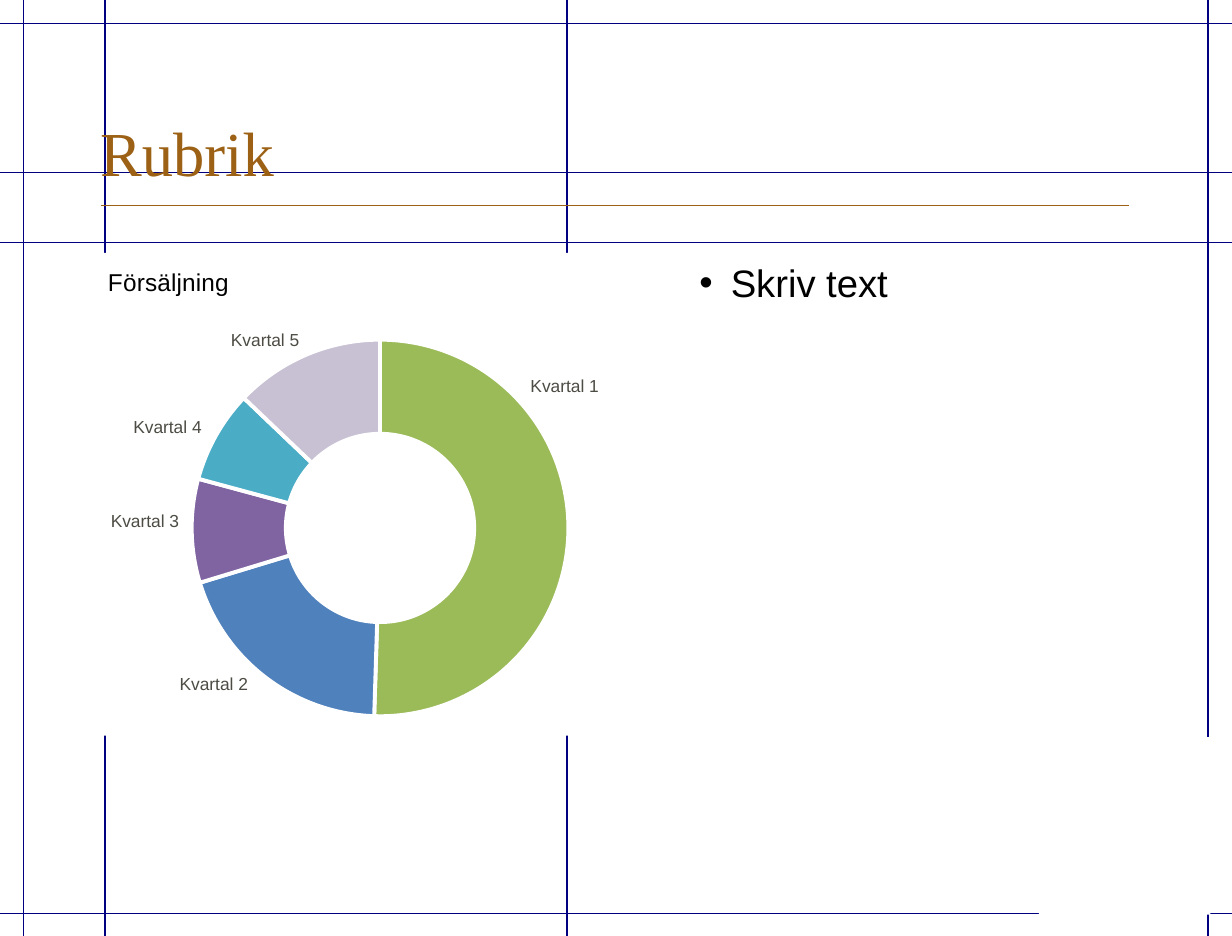
from dataclasses import dataclass

import pptx
import pptx.chart.data
import pptx.dml.color
import pptx.enum.chart
import pptx.enum.shapes
import pptx.enum.text
import pptx.oxml
import pptx.oxml.ns
import pptx.util
from pptx.util import Inches

# The page is 25 by 19 centimetres
PAGE_WIDTH, PAGE_HEIGHT = pptx.util.Cm(25), pptx.util.Cm(19)
WIDTH, HEIGHT = 9.84, 7.48
NAVY, BROWN, WHITE, BLACK, GREY = "000080", "9C6114", "FFFFFF", "000000", "4D4C44"
HORIZONTAL_GUIDES = (1.94, 0.19, 1.38, 7.3)
VERTICAL_GUIDES = (0.19, 9.65, 4.53, 0.84)
LEFT = pptx.enum.text.PP_ALIGN.LEFT
RIGHT = pptx.enum.text.PP_ALIGN.RIGHT


@dataclass(frozen=True)
class Quarter:
    number: int
    value: int
    color: str
    label_left: float
    label_top: float
    alignment: pptx.enum.text.PP_ALIGN = RIGHT


QUARTERS = (
    Quarter(1, 51, "9BBB59", 4.14, 2.95, LEFT),
    Quarter(2, 20, "4F81BD", 1.32, 5.33),
    Quarter(3, 9, "8064A2", 0.77, 4.03),
    Quarter(4, 8, "4BACC6", 0.95, 3.28),
    Quarter(5, 13, "C8C1D4", 1.73, 2.58),
)


def rgb(color: str) -> pptx.dml.color.RGBColor:
    return pptx.dml.color.RGBColor.from_string(color)


def set_font(font, size: float, color: str, name: str = "Arial") -> None:
    font.name = name
    font.size = pptx.util.Pt(size)
    font.bold = False
    font.color.rgb = rgb(color)


def xml(tag: str, content: str = "", attributes: str = ""):
    """Build an element from a prefixed tag, inner XML and attributes."""
    prefix = tag.split(":")[0]
    namespace = pptx.oxml.ns.nsdecls(prefix)
    return pptx.oxml.parse_xml(f"<{tag} {namespace} {attributes}>{content}</{tag}>")


def add_line(slide, x1: float, y1: float, x2: float, y2: float, color: str) -> None:
    line = slide.shapes.add_connector(
        pptx.enum.shapes.MSO_CONNECTOR.STRAIGHT,
        Inches(x1), Inches(y1), Inches(x2), Inches(y2),
    )
    line.line.color.rgb = rgb(color)
    line.line.width = pptx.util.Pt(0.75)
    line.element.spPr.append(xml("a:effectLst"))


def add_background(slide) -> None:
    for y in HORIZONTAL_GUIDES:
        add_line(slide, 0, y, WIDTH, y, NAVY)
    for x in VERTICAL_GUIDES:
        add_line(slide, x, 0, x, HEIGHT, NAVY)
    add_line(slide, 0.81, 1.64, 9.02, 1.64, BROWN)
    corner = slide.shapes.add_shape(
        pptx.enum.shapes.MSO_SHAPE.RECTANGLE,
        Inches(8.3), Inches(5.89), Inches(1.37), Inches(1.42),
    )
    corner.shadow.inherit = False
    corner.fill.solid()
    corner.fill.fore_color.rgb = rgb(WHITE)
    corner.line.fill.background()


def format_title(slide) -> None:
    title = slide.shapes.title
    title.left, title.top = Inches(0.7), Inches(0.31)
    title.width, title.height = Inches(8.32), Inches(1.25)
    frame = title.text_frame
    frame.text = "Rubrik"
    frame.auto_size = pptx.enum.text.MSO_AUTO_SIZE.NONE
    frame.vertical_anchor = pptx.enum.text.MSO_ANCHOR.BOTTOM
    frame.paragraphs[0].alignment = LEFT
    set_font(frame.paragraphs[0].runs[0].font, 36, BROWN, "Times New Roman")
    # Bring the title in front of the guides
    title.element.getparent().append(title.element)


def manual_layout(x: float, y: float, size: tuple[float, float] | None = None):
    content = '<c:xMode val="edge"/><c:yMode val="edge"/>'
    content += f'<c:x val="{x}"/><c:y val="{y}"/>'
    if size:
        content += f'<c:w val="{size[0]}"/><c:h val="{size[1]}"/>'
    return xml("c:layout", f"<c:manualLayout>{content}</c:manualLayout>")


def add_sales_chart(slide) -> None:
    data = pptx.chart.data.CategoryChartData()
    data.categories = [str(quarter.number) for quarter in QUARTERS]
    data.add_series("Series 1", [quarter.value for quarter in QUARTERS])
    chart = slide.shapes.add_chart(
        pptx.enum.chart.XL_CHART_TYPE.DOUGHNUT,
        Inches(0.68), Inches(2.02), Inches(4.91), Inches(3.86), data,
    ).chart
    set_font(chart.font, 10, BLACK)
    chart.has_legend = False
    chart.has_title = True
    title_frame = chart.chart_title.text_frame
    title_frame.text = "Försäljning"
    set_font(title_frame.paragraphs[0].runs[0].font, 14, BLACK)

    plot = chart.plots[0]
    plot.vary_by_categories = True
    plot.has_data_labels = False
    for point_index, quarter in enumerate(QUARTERS):
        slice_format = plot.series[0].points[point_index].format
        slice_format.fill.solid()
        slice_format.fill.fore_color.rgb = rgb(quarter.color)
        slice_format.line.color.rgb = rgb(WHITE)
        slice_format.line.width = pptx.util.Pt(2.25)

    qn = pptx.oxml.ns.qn
    chart_space = chart.element
    title = chart_space.find(".//" + qn("c:title"))
    plot_area = chart_space.find(".//" + qn("c:plotArea"))
    for parent in (title, plot_area):
        for layout in parent.findall(qn("c:layout")):
            parent.remove(layout)
    title.find(qn("c:tx")).addnext(manual_layout(0.03, 0.02))
    plot_area.insert(0, manual_layout(0.17, 0.18, (0.62, 0.78)))
    white_fill = f'<a:solidFill><a:srgbClr val="{WHITE}"/></a:solidFill>'
    background = pptx.oxml.parse_xml(
        f'<c:spPr {pptx.oxml.ns.nsdecls("c", "a")}>{white_fill}'
        "<a:ln><a:noFill/></a:ln></c:spPr>"
    )
    chart_space.find(qn("c:chart")).addnext(background)


def add_body(slide) -> None:
    frame = slide.shapes.add_textbox(
        Inches(5.49), Inches(2.02), Inches(3.53), Inches(3.84)
    ).text_frame
    frame.word_wrap = True
    paragraph = frame.paragraphs[0]
    paragraph.text = "Skriv text"
    properties = paragraph._p.get_or_add_pPr()
    properties.set("marL", str(Inches(0.25)))
    properties.set("indent", str(-Inches(0.25)))
    properties.append(xml("a:buClr", f'<a:srgbClr val="{BLACK}"/>'))
    properties.append(xml("a:buFont", attributes='typeface="Arial"'))
    properties.append(xml("a:buChar", attributes='char="•"'))
    set_font(paragraph.runs[0].font, 22, BLACK)


def add_quarter_label(slide, quarter: Quarter) -> None:
    frame = slide.shapes.add_textbox(
        Inches(quarter.label_left), Inches(quarter.label_top),
        Inches(0.76), Inches(0.27),
    ).text_frame
    frame.word_wrap = False
    frame.auto_size = pptx.enum.text.MSO_AUTO_SIZE.NONE
    paragraph = frame.paragraphs[0]
    paragraph.text = f"Kvartal {quarter.number}"
    paragraph.alignment = quarter.alignment
    set_font(paragraph.runs[0].font, 10, GREY)


def main() -> None:
    presentation = pptx.Presentation()
    presentation.slide_width = PAGE_WIDTH
    presentation.slide_height = PAGE_HEIGHT
    slide = presentation.slides.add_slide(presentation.slide_layouts[5])
    add_background(slide)
    format_title(slide)
    add_sales_chart(slide)
    add_body(slide)
    for quarter in QUARTERS:
        add_quarter_label(slide, quarter)
    presentation.save("out.pptx")


if __name__ == "__main__":
    main()
